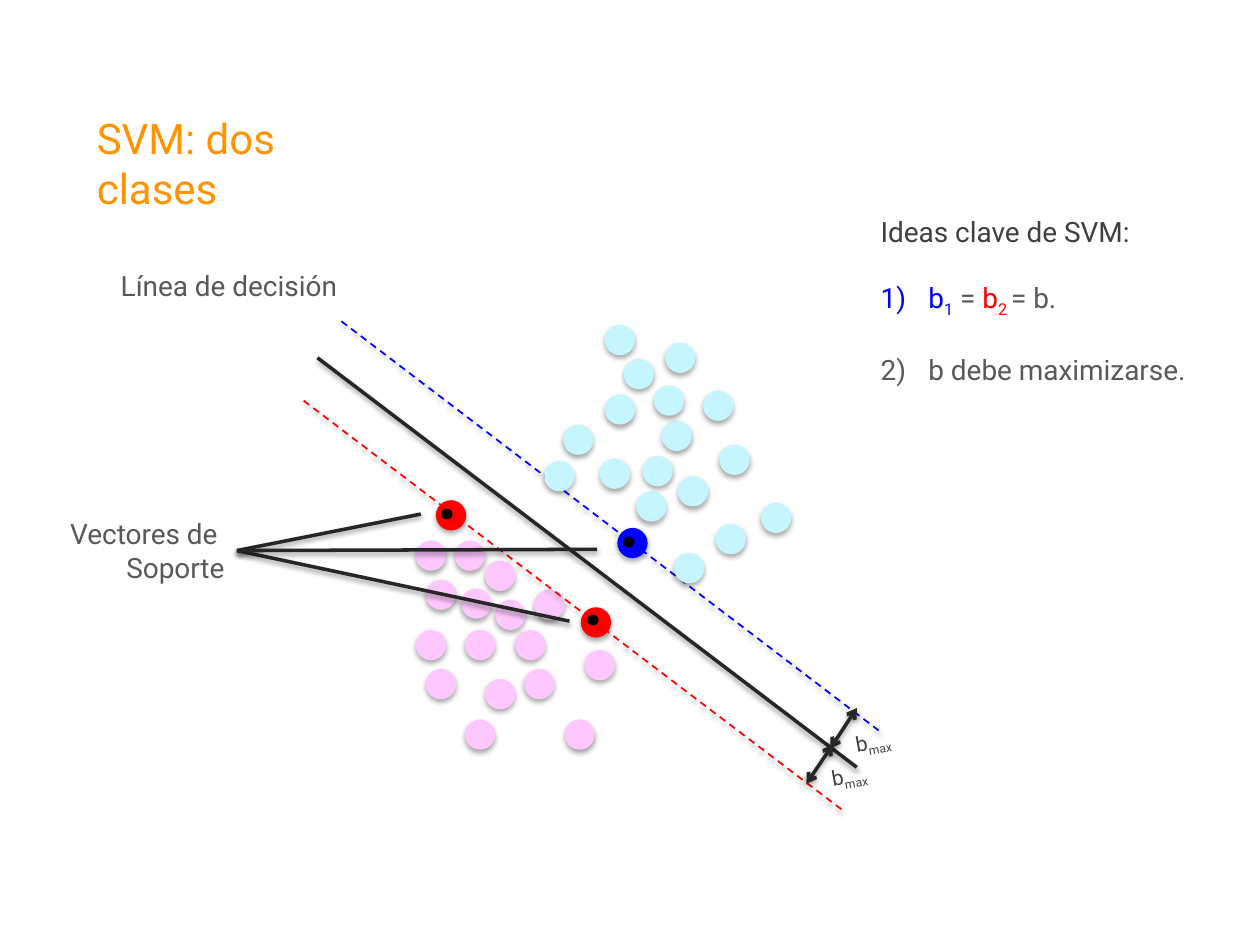
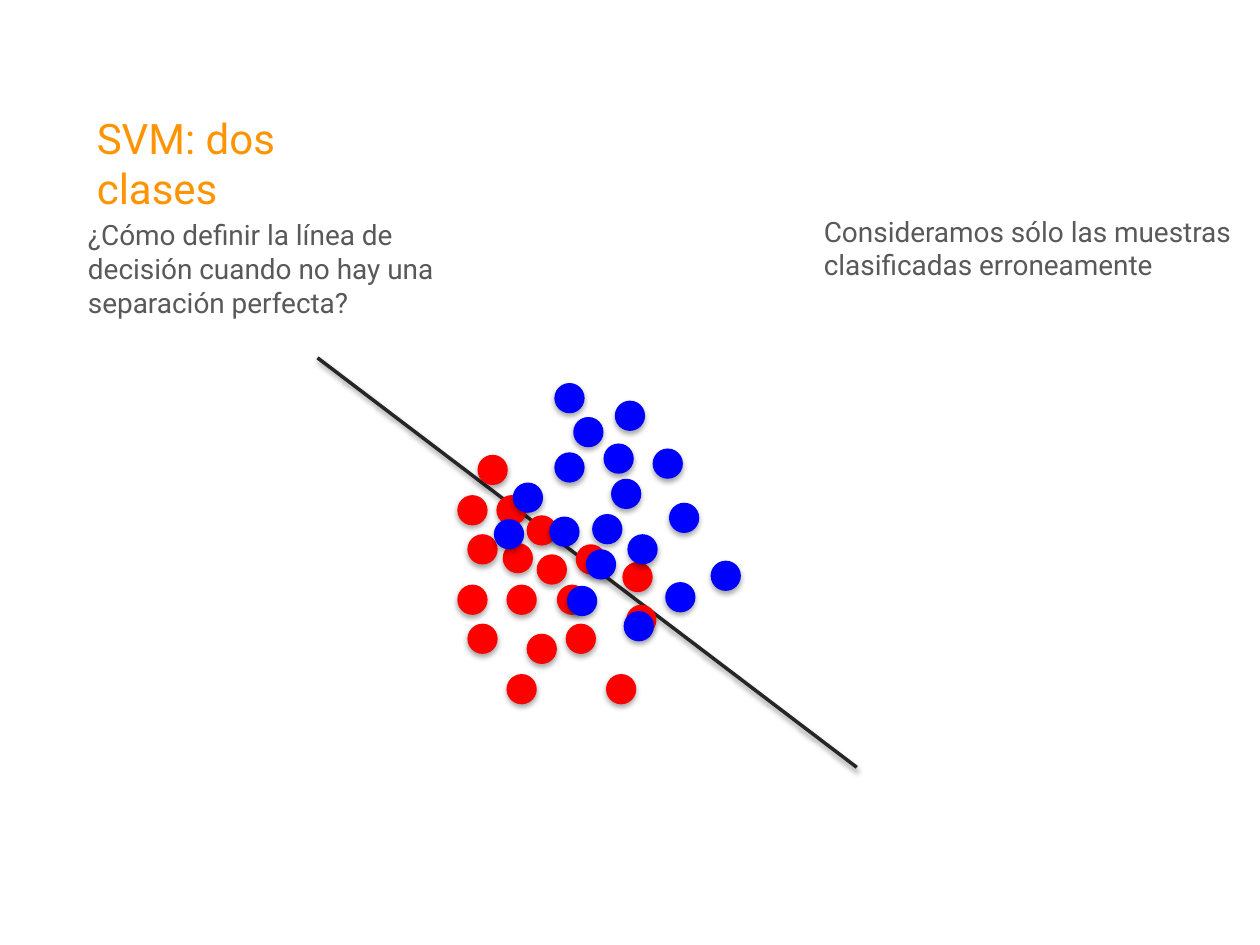
from dataclasses import dataclass
from lxml import etree
from pptx import Presentation
from pptx.dml.color import RGBColor
from pptx.enum import dml, shapes, text
from pptx.oxml import ns
from pptx.util import Inches, Pt


@dataclass(frozen=True)
class Theme:
    font: str = "Roboto"
    title: str = "FF9300"
    body: str = "595959"
    strong: str = "404040"
    line: str = "262626"
    black: str = "000000"
    red: str = "FF0000"
    blue: str = "0000FF"
    pale_red: str = "FFC7FF"
    pale_blue: str = "C5F5FF"
    title_size: int = 24
    body_size: int = 16
    label_size: int = 12
    mark_size: int = 40
    paragraph_gap: int = 19
    thick: int = 2
    thin: int = 1


THEME = Theme()

TITLE = "SVM: dos clases"
TITLE_BOX = (0.67, 0.84, 2.53, 0.91)
DECISION_LINE = ((2.52, 2.84), (6.8, 6.09))
SAMPLE_SIZE = 0.24

RED_SAMPLES = [
    (3.46, 3.97), (3.38, 4.6), (3.3, 4.29), (3.66, 4.67), (3.69, 5), (3.85, 4.45),
    (4.24, 4.68), (4.16, 5.31), (4.09, 5), (4.61, 4.82), (4.48, 5.71), (4.64, 5.16),
    (3.61, 4.29), (3.38, 5.31), (3.3, 5), (3.93, 4.76), (3.69, 5.71), (3.85, 5.39),
]
BLUE_SAMPLES = [
    (5.05, 3.9), (5.28, 2.72), (4.8, 3.13), (4.95, 2.85), (5.58, 3.1), (4.76, 3.64),
    (5.25, 3.34), (5.38, 3.78), (4.9, 4.19), (5.68, 4.16), (5.71, 3.53), (5.35, 4.39),
    (5.19, 3.06), (4.32, 3.66), (4.47, 3.37), (5.1, 3.62), (6.04, 3.99), (4.8, 2.58),
]
RED_SUPPORT = {(3.46, 3.97), (4.61, 4.82)}
BLUE_SUPPORT = {(4.9, 4.19)}
OVERLAP_RED = (0.33, -0.36)
OVERLAP_BLUE = (-0.4, 0.46)

MARGIN_LINES = [
    ((2.71, 2.55), (6.99, 5.81), THEME.blue),
    ((2.41, 3.18), (6.7, 6.44), THEME.red),
]
MARGIN_ARROWS = [((6.59, 5.94), (6.8, 5.62)), ((6.4, 6.22), (6.61, 5.91))]
MARGIN_LABELS = [(6.69, 5.73, 0.51, 0.3), (6.5, 6, 0.51, 0.3)]
MARGIN_LABEL_ANGLE = -10.2
SUPPORT_MARKS = [(4.82, 3.74), (4.53, 4.36), (3.37, 3.52)]
SUPPORT_LABEL = ["Vectores de ", "Soporte"]
SUPPORT_BOX = (0.43, 4.05, 1.45, 0.64)
SUPPORT_TARGETS = [(3.34, 4.08), (4.52, 4.93), (4.74, 4.36)]

DECISION_LABEL = "Línea de decisión"
DECISION_BOX = (0.86, 2.08, 1.95, 0.64)
IDEAS_BOX = (6.89, 1.65, 3.62, 1.45)
IDEAS = [
    [("Ideas clave de SVM:", THEME.strong)],
    [("b", THEME.blue), ("1", THEME.blue, "sub"), (" = ", THEME.body),
     ("b", THEME.red), ("2 ", THEME.red, "sub"), ("= b.", THEME.body)],
    [("b debe maximizarse.", THEME.body)],
]
QUESTION = "¿Cómo definir la línea de decisión cuando no hay una separación perfecta?"
QUESTION_BOX = (0.6, 1.68, 3.46, 1.18)
ANSWER = "Consideramos sólo las muestras clasificadas erroneamente"
ANSWER_BOX = (6.44, 1.65, 3.62, 0.91)


def inches(values):
    return [Inches(value) for value in values]


def add_element(parent, tag, **attributes):
    element = etree.SubElement(parent, ns.qn(tag))
    for name, value in attributes.items():
        element.set(name, str(value))
    return element


def add_shadow(effects, distance, opacity):
    shadow = add_element(effects, "a:outerShdw", blurRad=Pt(3.1), dist=Pt(distance),
                         dir=5400000, rotWithShape=0)
    color = add_element(shadow, "a:srgbClr", val=THEME.black)
    add_element(color, "a:alpha", val=opacity * 1000)


def add_line(slide, start, end, color=THEME.line, width=THEME.thick, dashed=False, arrows=False):
    connector = slide.shapes.add_connector(
        shapes.MSO_CONNECTOR.STRAIGHT, *inches(start + end))
    connector.line.color.rgb = RGBColor.from_string(color)
    connector.line.width = Pt(width)
    if dashed:
        connector.line.dash_style = dml.MSO_LINE.DASH
    if arrows:
        outline = connector.line._get_or_add_ln()
        for tag in ("a:headEnd", "a:tailEnd"):
            add_element(outline, tag, type="arrow")
    effects = add_element(connector._element.spPr, "a:effectLst")
    add_shadow(effects, 1.6, 38)
    return connector


def add_samples(slide, samples, color, support=(), support_color=None, shift=(0, 0)):
    for left, top in samples:
        shape = slide.shapes.add_shape(
            shapes.MSO_SHAPE.OVAL,
            *inches((left + shift[0], top + shift[1], SAMPLE_SIZE, SAMPLE_SIZE)))
        shape.fill.solid()
        fill = support_color if (left, top) in support else color
        shape.fill.fore_color.rgb = RGBColor.from_string(fill)
        shape.line.fill.background()
        shape.shadow.inherit = False
        add_shadow(shape._element.spPr.find(ns.qn("a:effectLst")), 1.8, 35)


def add_text(slide, box, paragraphs, size=THEME.body_size, color=THEME.body,
             bold=False, align=None, wrap=True, numbered_from=None, gap=0):
    shape = slide.shapes.add_textbox(*inches(box))
    frame = shape.text_frame
    frame.word_wrap = wrap
    for index, runs in enumerate(paragraphs):
        paragraph = frame.add_paragraph() if index else frame.paragraphs[0]
        if numbered_from is not None and index >= numbered_from:
            properties = paragraph._p.get_or_add_pPr()
            properties.set("marL", str(Inches(0.38)))
            properties.set("indent", str(Inches(-0.38)))
            add_element(properties, "a:buFont", typeface=THEME.font)
            add_element(properties, "a:buAutoNum", type="arabicParenR")
        if index and gap:
            paragraph.space_before = Pt(gap)
        paragraph.alignment = align
        paragraph.font.name = THEME.font
        paragraph.font.size = Pt(size)
        paragraph.font.bold = bold
        paragraph.font.color.rgb = RGBColor.from_string(color)
        if isinstance(runs, str):
            runs = [(runs, color)]
        for content, run_color, *script in runs:
            run = paragraph.add_run()
            run.text = content
            if run_color != color:
                run.font.color.rgb = RGBColor.from_string(run_color)
            if script:
                run._r.get_or_add_rPr().set("baseline", "-25000")
    return shape


def add_title(slide):
    add_text(slide, TITLE_BOX, [TITLE], THEME.title_size, THEME.title)


def build_separable(slide):
    add_samples(slide, RED_SAMPLES, THEME.pale_red, RED_SUPPORT, THEME.red)
    add_line(slide, *DECISION_LINE)
    for start, end, color in MARGIN_LINES:
        add_line(slide, start, end, color, THEME.thin, dashed=True)
    for start, end in MARGIN_ARROWS:
        add_line(slide, start, end, arrows=True)
    for box in MARGIN_LABELS:
        label = add_text(slide, box, [[("b", THEME.strong), ("max", THEME.strong, "sub")]],
                         THEME.label_size, THEME.strong, wrap=False)
        label.rotation = MARGIN_LABEL_ANGLE
    add_samples(slide, BLUE_SAMPLES, THEME.pale_blue, BLUE_SUPPORT, THEME.blue)
    for left, top in SUPPORT_MARKS:
        add_text(slide, (left, top, 0.41, 0.77), ["."], THEME.mark_size, THEME.black, bold=True)
    support_label = add_text(slide, SUPPORT_BOX, SUPPORT_LABEL, align=text.PP_ALIGN.RIGHT)
    for target in SUPPORT_TARGETS:
        pointer = add_line(slide, (1.88, 4.37), target)
        pointer.begin_connect(support_label, 3)
    add_title(slide)
    add_text(slide, DECISION_BOX, [DECISION_LABEL], wrap=False)
    add_text(slide, IDEAS_BOX, IDEAS, numbered_from=1, gap=THEME.paragraph_gap)


def build_overlapping(slide):
    add_line(slide, *DECISION_LINE)
    add_samples(slide, RED_SAMPLES, THEME.red, shift=OVERLAP_RED)
    add_samples(slide, BLUE_SAMPLES, THEME.blue, shift=OVERLAP_BLUE)
    add_text(slide, ANSWER_BOX, [ANSWER])
    add_title(slide)
    add_text(slide, QUESTION_BOX, [QUESTION])


def main():
    presentation = Presentation()
    presentation.slide_width, presentation.slide_height = Inches(10), Inches(7.5)
    for build in (build_separable, build_overlapping):
        build(presentation.slides.add_slide(presentation.slide_layouts[6]))
    presentation.save("out.pptx")


if __name__ == "__main__":
    main()
